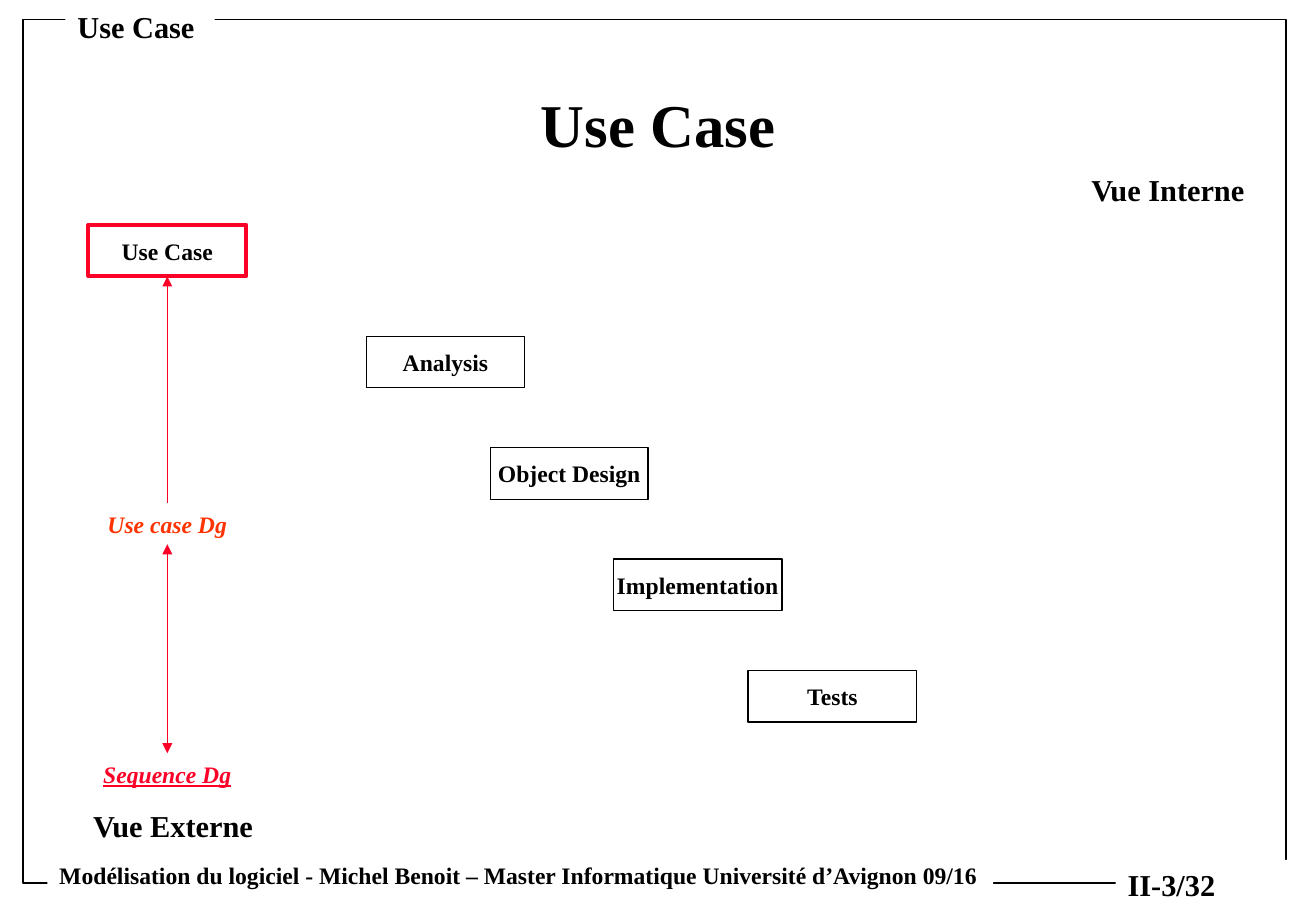
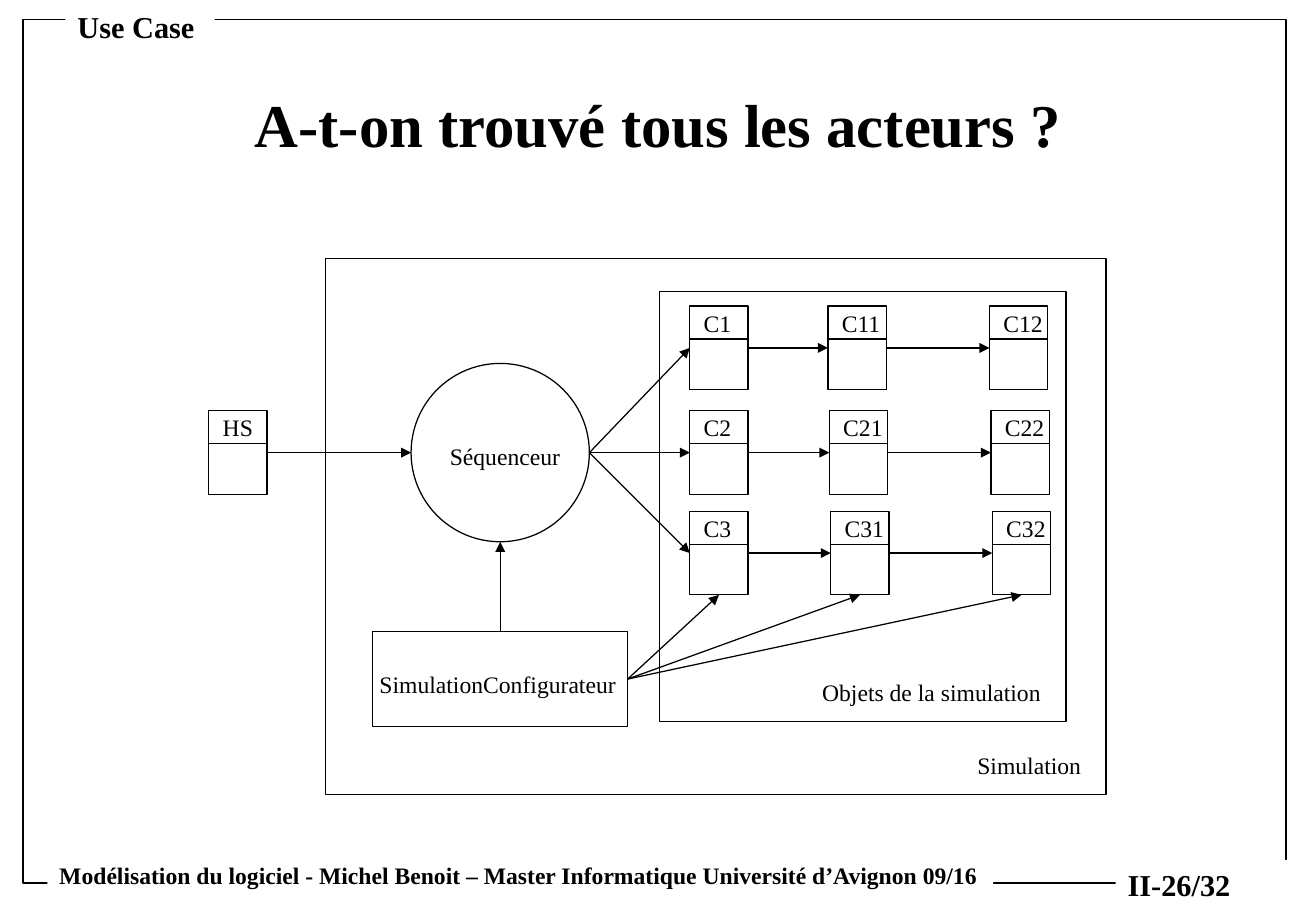
"""Build two use-case slides sharing one frame, title and footer."""
from lxml import etree
from pptx import Presentation
from pptx.dml.color import RGBColor
from pptx.enum import shapes as kinds, text as txt
from pptx.oxml import ns
from pptx.util import Cm, Pt

BLACK = RGBColor(0x00, 0x00, 0x00)
WHITE = RGBColor(0xFF, 0xFF, 0xFF)
RED = RGBColor(0xFC, 0x01, 0x28)
ORANGE = RGBColor(0xFF, 0x33, 0x00)
FONT = "Times New Roman"
TOP, LEFT, BOTTOM, RIGHT = range(4)
INDENTED = (0.25, 0.13, 0, 0.13)
CORNER = (0, 0, 0.52, 0.32)
CLASS_LABEL = (0.29, 0.05, 0, 0)
CLASS_WIDTH, CLASS_HEIGHT, CLASS_DIVIDER = 1.22, 1.75, 0.69
FOOTER = "Modélisation du logiciel - Michel Benoit – Master Informatique Université d’Avignon 09/16"


def write(shape, wording, size=14, color=BLACK, bold=False, align="CENTER",
          anchor="MIDDLE", margins=(0, 0, 0, 0)):
    """Put one styled paragraph in a shape and return the paragraph."""
    frame = shape.text_frame
    frame.word_wrap = True
    frame.vertical_anchor = getattr(txt.MSO_ANCHOR, anchor)
    (frame.margin_left, frame.margin_top,
     frame.margin_right, frame.margin_bottom) = map(Cm, margins)
    paragraph = frame.paragraphs[0]
    paragraph.text = wording
    paragraph.alignment = getattr(txt.PP_ALIGN, align)
    font = paragraph.font
    font.name, font.size, font.bold = FONT, Pt(size), bold
    font.color.rgb = color
    return paragraph


def label(slide, wording, area, fill=None, **style):
    """Add free text in bold and return its text box."""
    box = slide.shapes.add_textbox(*map(Cm, area))
    if fill is not None:
        box.fill.solid()
        box.fill.fore_color.rgb = fill
    write(box, wording, bold=True, **style)
    return box


def outline(slide, area, wording="", color=BLACK, weight=0.75, kind="RECTANGLE", **style):
    """Add an unfilled outlined shape, with its text if any."""
    shape = slide.shapes.add_shape(getattr(kinds.MSO_SHAPE, kind), *map(Cm, area))
    shape.shadow.inherit = False
    shape.fill.background()
    shape.line.color.rgb = color
    shape.line.width = Pt(weight)
    if wording:
        write(shape, wording, **style)
    return shape


def line(slide, start, end, color=BLACK, arrows=("tailEnd",)):
    """Draw a line between points or (shape, side) pairs."""
    points = [(0, 0) if hasattr(place[0], "left") else place for place in (start, end)]
    link = slide.shapes.add_connector(
        kinds.MSO_CONNECTOR.STRAIGHT, *(Cm(value) for point in points for value in point))
    for place, connect in ((start, link.begin_connect), (end, link.end_connect)):
        if hasattr(place[0], "left"):
            connect(*place)
    link.line.color.rgb = color
    link.line.width = Pt(0.75)
    for arrow in arrows:
        etree.SubElement(link.line._get_or_add_ln(), ns.qn("a:" + arrow), type="triangle")
    etree.SubElement(link._element.spPr, ns.qn("a:effectLst"))


def start_slide(deck, title, page):
    """Add a slide with the shared frame, header, footer and title."""
    slide = deck.slides.add_slide(deck.slide_layouts[6])
    outline(slide, (0.48, 0.41, 26.42, 18.06), weight=1)
    for wording, area, size in (
        (FOOTER, (0.99, 17.88, 19.79, 0.84), 14),
        (page, (23.34, 17.98, 4.19, 1.02), 18),
        ("Use Case", (1.37, 0.05, 3.12, 1.02), 18),
    ):
        label(slide, wording, area, fill=WHITE, size=size, align="LEFT",
              anchor="TOP", margins=INDENTED)
    heading = label(slide, title, (2.97, 1.09, 21.59, 3.18), size=36)
    heading.text_frame.paragraphs[0].line_spacing = 0.9
    return slide


def class_box(slide, name, left, top):
    """Add a class symbol with its name above a divider."""
    symbol = outline(slide, (left, top, CLASS_WIDTH, CLASS_HEIGHT), name,
                     align="LEFT", anchor="TOP", margins=CLASS_LABEL)
    divider = top + CLASS_DIVIDER
    line(slide, (left, divider), (left + CLASS_WIDTH, divider), arrows=())
    return symbol


def build_views(deck):
    """Show the development steps from external to internal view."""
    slide = start_slide(deck, "Use Case", "II-3/32")
    for view, area in (("Vue Interne", (22.58, 3.45, 3.78, 1.02)),
                       ("Vue Externe", (1.7, 16.74, 3.91, 1.02))):
        label(slide, view, area, size=18, align="LEFT", margins=INDENTED)

    steps = (("Analysis", 7.67, 3.3), ("Object Design", 10.26, 3.3),
             ("Implementation", 12.83, 3.53), ("Tests", 15.65, 3.53))
    first_top, drop, height = 4.7, 2.33, 1.08
    use_case = outline(slide, (1.85, first_top, 3.3, height), "Use Case",
                       color=RED, weight=2.25, bold=True)
    for row, (step, left, width) in enumerate(steps, 1):
        outline(slide, (left, first_top + row * drop, width, height), step, bold=True)

    use_case_dg = label(slide, "Use case Dg", (2, 10.52, 3, 0.86), color=ORANGE)
    sequence_dg = label(slide, "Sequence Dg", (1.9, 15.75, 3.2, 0.86), color=RED)
    for diagram in (use_case_dg, sequence_dg):
        diagram.text_frame.paragraphs[0].font.italic = True
    sequence_dg.text_frame.paragraphs[0].font.underline = True
    line(slide, (use_case_dg, TOP), (use_case, BOTTOM), RED)
    line(slide, (sequence_dg, TOP), (use_case_dg, BOTTOM), RED, ("headEnd", "tailEnd"))


def build_actors(deck):
    """Show the simulation, its sequencer and its objects."""
    slide = start_slide(deck, "A-t-on trouvé tous les acteurs ?", "II-26/32")
    for wording, area in (("Simulation", (6.81, 5.41, 16.33, 11.2)),
                          ("Objets de la simulation", (13.79, 6.1, 8.51, 8.99))):
        outline(slide, area, wording, align="RIGHT", anchor="BOTTOM", margins=CORNER)

    left, top, diameter = 8.6, 7.6, 3.73
    middle_x, middle_y = left + diameter / 2, top + diameter / 2
    outline(slide, (left, top, diameter, diameter), "Séquenceur", kind="OVAL",
            margins=(0.2, 0.15, 0, 0))
    configurator = outline(slide, (7.8, 13.21, 5.33, 1.98), "SimulationConfigurateur",
                           margins=(0, 0.2, 0.1, 0))
    line(slide, (configurator, TOP), (middle_x, top + diameter))
    hs = class_box(slide, "HS", 4.37, 8.59)
    line(slide, (hs, RIGHT), (left, middle_y))

    rows = ((6.4, ("C1", "C11", "C12")), (8.59, ("C2", "C21", "C22")),
            (10.69, ("C3", "C31", "C32")))
    columns, row_shift = (14.43, 17.32, 20.7), (0, 0.03, 0.03)
    for row, (row_top, names) in enumerate(rows):
        chain = [class_box(slide, name, column + row * shift, row_top)
                 for name, column, shift in zip(names, columns, row_shift)]
        line(slide, (left + diameter, middle_y), (chain[0], LEFT))
        for source, target in zip(chain, chain[1:]):
            line(slide, (source, RIGHT), (target, LEFT))
    for symbol in chain:
        line(slide, (configurator, RIGHT), (symbol, BOTTOM))


def main():
    """Create and save the presentation."""
    deck = Presentation()
    deck.slide_width, deck.slide_height = Cm(27.53), Cm(19.05)
    build_views(deck)
    build_actors(deck)
    deck.save("out.pptx")


if __name__ == "__main__":
    main()
